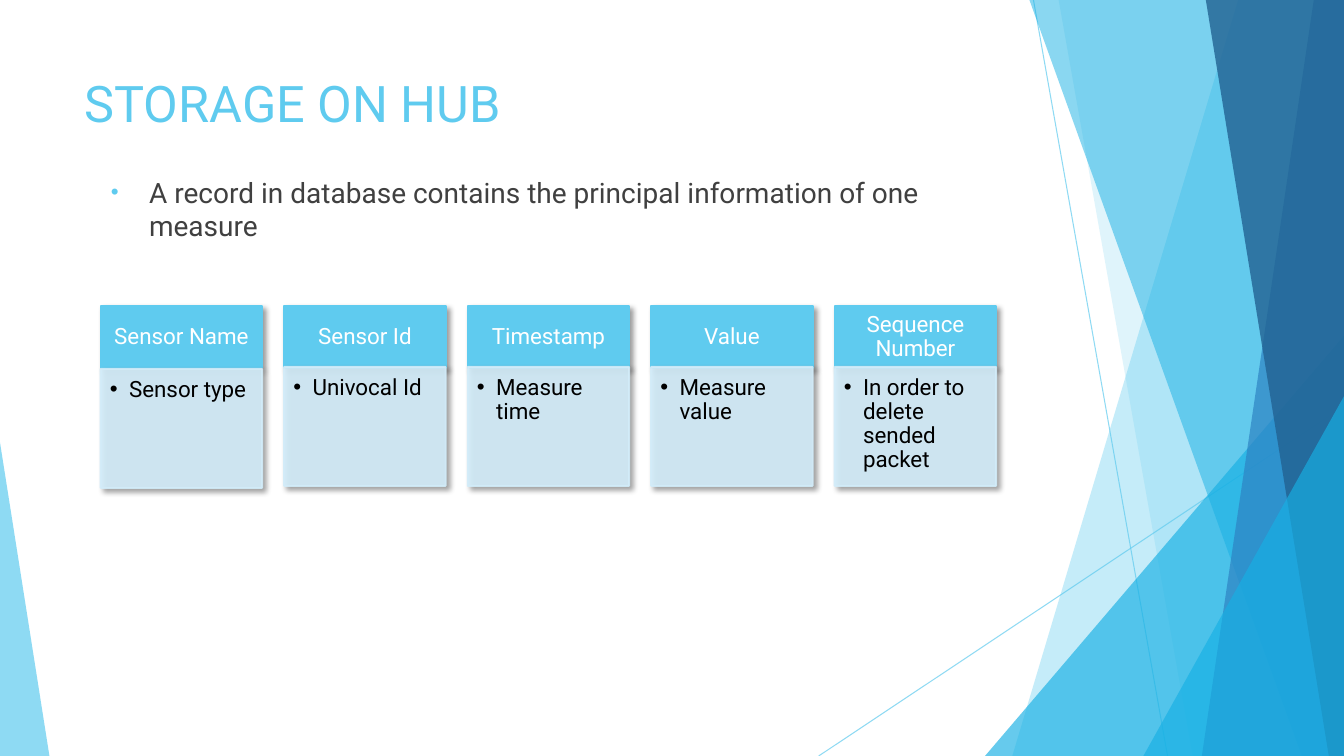
from lxml import etree
from pptx import Presentation
from pptx.dml.color import RGBColor
from pptx.enum.shapes import MSO_CONNECTOR, MSO_SHAPE
from pptx.enum.text import MSO_ANCHOR, PP_ALIGN
from pptx.oxml.ns import qn
from pptx.util import Pt

PX = 9144  # 100 px to the inch
WIDTH, HEIGHT = 1333, 750
FONT = "Roboto"
RECTANGLE, TRIANGLE = MSO_SHAPE.RECTANGLE, MSO_SHAPE.ISOSCELES_TRIANGLE
STRAIGHT = MSO_CONNECTOR.STRAIGHT
TOP, MIDDLE = MSO_ANCHOR.TOP, MSO_ANCHOR.MIDDLE
LEFT, CENTER = PP_ALIGN.LEFT, PP_ALIGN.CENTER

COLORS = {
    "sky": "5FCBEF",
    "cyan": "17B0E4",
    "blue": "2E83C3",
    "navy": "226292",
    "pale": "D2ECF9",
    "gray": "404040",
    "white": "FFFFFF",
    "black": "000000",
}

RAYS = [
    ((1025, 0), (1158, 750)),
    ((1333, 403), (812, 750)),
]
# Top-left x, bottom-left x, colour, opacity; each runs to the right edge.
BANDS_BEHIND = [
    (1228, 1004, "sky", 36),
    (1050, 1183, "sky", 20),
]
BANDS_IN_FRONT = [
    (1021, 1291, "cyan", 50),
    (1303, 1192, "blue", 70),
    (1196, 1318, "navy", 80),
]

FIELDS = [
    ("Sensor Name", "Sensor type"),
    ("Sensor Id", "Univocal Id"),
    ("Timestamp", "Measure time"),
    ("Value", "Measure value"),
    ("Sequence Number", "In order to delete sended packet"),
]
FIELD_LEFT, FIELD_STEP, FIELD_WIDTH = 100, 182, 160


def rgb(color):
    return RGBColor.from_string(COLORS[color])


def add_element(parent, tag, **attributes):
    element = etree.SubElement(parent, qn(tag))
    for name, value in attributes.items():
        element.set(name, str(value))
    return element


def set_opacity(shape, percent):
    """Apply one opacity to the colours of both fill and line."""
    for color in shape._element.spPr.iter(qn("a:srgbClr")):
        add_element(color, "a:alpha", val=percent * 1000)


def paint(shape, color, opacity=100, line_width=0):
    shape.shadow.inherit = False
    shape.fill.solid()
    shape.fill.fore_color.rgb = rgb(color)
    if line_width:
        shape.line.color.rgb = rgb(color)
        shape.line.width = Pt(line_width)
    else:
        shape.line.fill.background()
    if opacity < 100:
        set_opacity(shape, opacity)


def add_shadow(shape):
    effects = shape._element.spPr.find(qn("a:effectLst"))
    shadow = add_element(effects, "a:outerShdw", blurRad=Pt(4), dist=Pt(3),
                         dir=45 * 60000, algn="ctr", rotWithShape=0)
    color = add_element(shadow, "a:srgbClr", val=COLORS["black"])
    add_element(color, "a:alpha", val=40000)


def add_bullet(para, indent, color=None, percent=100):
    properties = para._p.get_or_add_pPr()
    properties.set("marL", str(indent * PX))
    properties.set("indent", str(-indent * PX))
    if color:
        holder = add_element(properties, "a:buClr")
        add_element(holder, "a:srgbClr", val=COLORS[color])
    add_element(properties, "a:buSzPct", val=percent * 1000)
    add_element(properties, "a:buFont", typeface="Arial")
    add_element(properties, "a:buChar", char="•")


def write(shape, text, align=LEFT, anchor=TOP, margins=(10, 5, 10, 5)):
    frame = shape.text_frame
    frame.word_wrap = True
    frame.vertical_anchor = anchor
    (frame.margin_left, frame.margin_top,
     frame.margin_right, frame.margin_bottom) = [m * PX for m in margins]
    para = frame.paragraphs[0]
    para.text = text
    para.alignment = align
    return para


def set_font(para, size, color):
    para.font.name = FONT
    para.font.size = Pt(size)
    para.font.color.rgb = rgb(color)


def add_text(page, place, text, size, color, bullet=None):
    box = page.shapes.add_textbox(*[value * PX for value in place])
    para = write(box, text)
    if bullet:
        add_bullet(para, *bullet)
    set_font(para, size, color)


def add_ray(page, start, end):
    ray = page.shapes.add_connector(
        STRAIGHT, *[value * PX for value in start + end])
    ray.line.color.rgb = rgb("sky")
    ray.line.width = Pt(0.75)
    set_opacity(ray, 70)
    add_element(ray._element.spPr, "a:effectLst")


def add_band(page, top_left, bottom_left, color, opacity):
    builder = page.shapes.build_freeform(top_left, 0, scale=PX)
    builder.add_line_segments(
        [(WIDTH, 0), (WIDTH, HEIGHT), (bottom_left, HEIGHT)], close=True)
    paint(builder.convert_to_shape(), color, opacity)


def add_triangle(page, left, top, width, apex, color, opacity):
    """Add a triangle on the bottom edge; apex is 0 (left) to 1 (right)."""
    triangle = page.shapes.add_shape(
        TRIANGLE, left * PX, top * PX, width * PX, (HEIGHT - top) * PX)
    triangle.adjustments[0] = apex
    paint(triangle, color, opacity)


def add_panel(page, place, text, fill, color, opacity=100, bullet=None,
              **layout):
    panel = page.shapes.add_shape(RECTANGLE, *[value * PX for value in place])
    paint(panel, fill, opacity, line_width=1.5)
    add_shadow(panel)
    para = write(panel, text, **layout)
    para.line_spacing = 0.9
    if bullet:
        add_bullet(para, bullet)
    set_font(para, 16, color)


def add_field(page, index, name, detail):
    left = FIELD_LEFT + index * FIELD_STEP
    detail_top = 366 if index == 0 else 364
    add_panel(page, (left, 304, FIELD_WIDTH, 61), name, "sky", "white",
              align=CENTER, anchor=MIDDLE, margins=(12, 7, 12, 7))
    add_panel(page, (left, detail_top, FIELD_WIDTH, 118), detail, "pale",
              "black", opacity=90, bullet=19, margins=(9, 9, 12, 14))


def add_backdrop(page):
    for start, end in RAYS:
        add_ray(page, start, end)
    for band in BANDS_BEHIND:
        add_band(page, *band)
    add_triangle(page, 977, 333, 356, 1, "cyan", 66)
    for band in BANDS_IN_FRONT:
        add_band(page, *band)
    add_triangle(page, 1134, 393, 199, 1, "cyan", 66)
    add_triangle(page, 0, 439, 49, 0, "sky", 70)


def main():
    deck = Presentation()
    deck.slide_width, deck.slide_height = WIDTH * PX, HEIGHT * PX
    page = deck.slides.add_slide(deck.slide_layouts[6])
    add_backdrop(page)
    add_text(page, (74, 67, 940, 144), "STORAGE ON HUB", 36, "sky")
    add_text(page, (100, 169, 889, 176),
             "A record in database contains the principal information "
             "of one measure", 20, "gray", bullet=(38, "sky", 80))
    for index, (name, detail) in enumerate(FIELDS):
        add_field(page, index, name, detail)
    deck.save("out.pptx")


if __name__ == "__main__":
    main()
